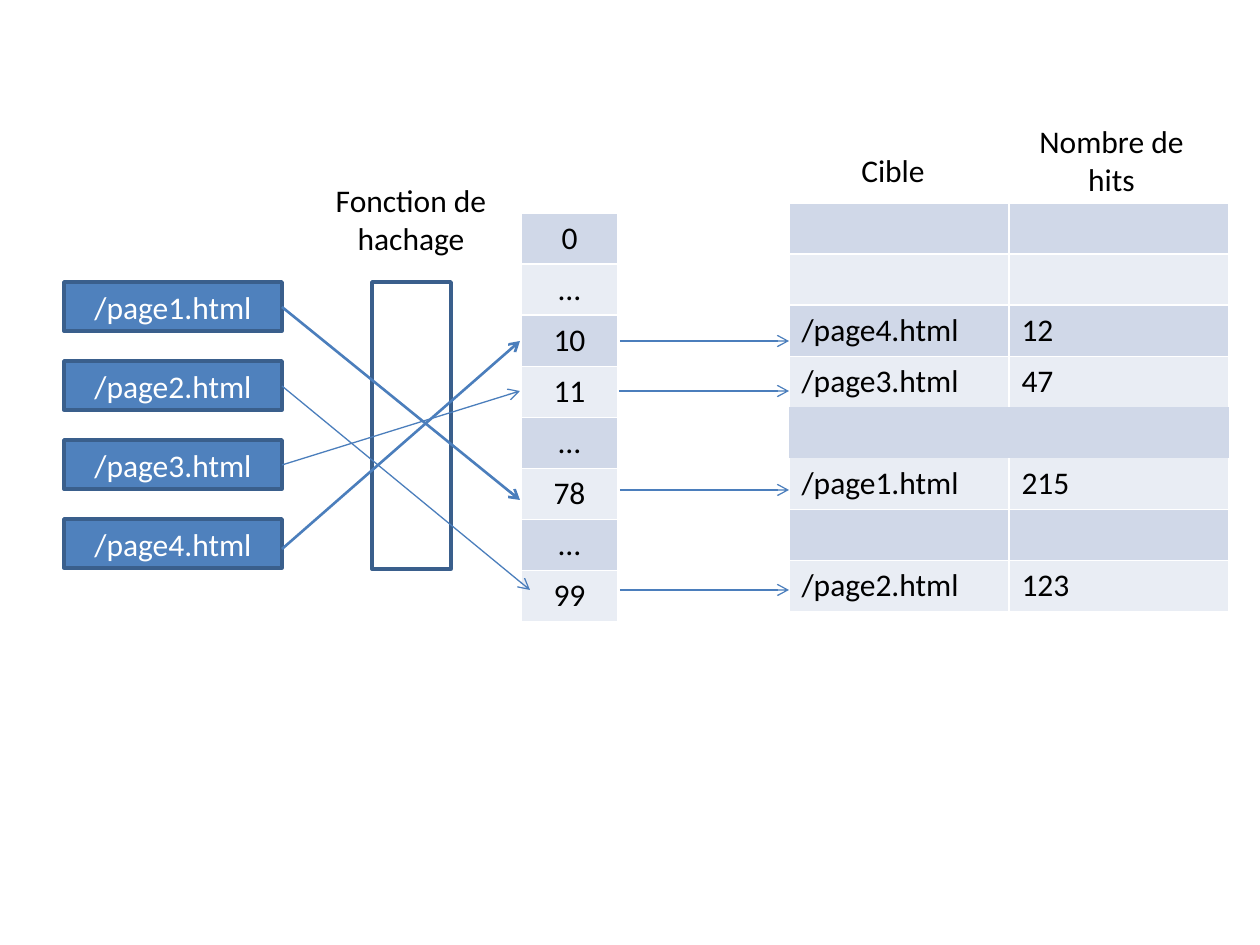
from lxml.etree import SubElement
from pptx import Presentation
from pptx.dml.color import RGBColor
from pptx.enum.shapes import MSO_CONNECTOR as CONN, MSO_SHAPE as SHAPE
from pptx.enum.text import MSO_ANCHOR as ANCHOR, PP_ALIGN as ALIGN
from pptx.oxml import parse_xml
from pptx.oxml.ns import nsdecls, qn
from pptx.util import Pt

PX = 914400 / 126
WHITE = RGBColor(0xFF, 0xFF, 0xFF)
BLACK = RGBColor(0, 0, 0)
BLUE = RGBColor(0x4F, 0x81, 0xBD)
EDGE = RGBColor(0x3A, 0x5F, 0x8C)
ARROW = RGBColor(0x4B, 0x7E, 0xBC)
BANDS = RGBColor(0xD0, 0xD8, 0xE8), RGBColor(0xE9, 0xED, 0xF4)
ROW_H = 51


def px(*values):
    return [round(v * PX) for v in values]


def write(tf, text, color, align):
    tf.text = text
    p = tf.paragraphs[0]
    p.alignment = align
    for r in p.runs:
        r.font.name = "Calibri"
        r.font.size = Pt(18)
        r.font.color.rgb = color


prs = Presentation()
prs.slide_width, prs.slide_height = px(1260, 945)
s = prs.slides.add_slide(prs.slide_layouts[6])

for i in range(4):
    sp = s.shapes.add_shape(SHAPE.RECTANGLE, *px(64, 282 + i * 79, 218, 49))
    sp.shadow.inherit = False
    sp.fill.solid()
    sp.fill.fore_color.rgb = BLUE
    sp.line.color.rgb = EDGE
    sp.line.width = Pt(2)
    sp.text_frame.vertical_anchor = ANCHOR.MIDDLE
    write(sp.text_frame, f"/page{i + 1}.html", WHITE, ALIGN.CENTER)

sp = s.shapes.add_shape(SHAPE.RECTANGLE, *px(372, 282, 79, 287))
sp.shadow.inherit = False
sp.fill.solid()
sp.fill.fore_color.rgb = WHITE
sp.line.color.rgb = EDGE
sp.line.width = Pt(2)

arrows = [
    (619, 391, 789, 391, 0.75),
    (282, 307, 520, 500, 1.5),
    (282, 549, 520, 341, 1.5),
    (282, 465, 520, 391, 0.75),
    (282, 386, 530, 590, 0.75),
    (620, 590, 789, 590, 0.75),
    (620, 490, 789, 490, 0.75),
    (620, 341, 789, 341, 0.75),
]

slots = [[t] for t in ("0", "…", "10", "11", "…", "78", "…", "99")]
hits = [
    ("", ""), ("", ""), ("/page4.html", "12"), ("/page3.html", "47"),
    ("", ""), ("/page1.html", "215"), ("", ""), ("/page2.html", "123"),
]
tables = [
    (521, 213, 97, slots, ALIGN.CENTER, None),
    (789, 203, 220, hits, ALIGN.LEFT, 4),
]
for x, y, col_w, rows, align, bare in tables:
    n = len(rows[0])
    table = s.shapes.add_table(
        len(rows), n, *px(x, y, col_w * n, ROW_H * len(rows))).table
    table.first_row = False
    for col in table.columns:
        col.width = px(col_w)[0]
    for i, row in enumerate(rows):
        table.rows[i].height = px(ROW_H)[0]
        for j, text in enumerate(row):
            cell = table.cell(i, j)
            write(cell.text_frame, text, BLACK, align)
            tc_pr = cell._tc.get_or_add_tcPr()
            for side in "LRTB":
                ln = SubElement(tc_pr, qn(f"a:ln{side}"), w=str(Pt(1)))
                hidden = bare is not None and (
                    i == bare or (i + 1 == bare and side == "B")
                    or (i - 1 == bare and side == "T"))
                if hidden:
                    SubElement(ln, qn("a:noFill"))
                else:
                    fill = SubElement(ln, qn("a:solidFill"))
                    SubElement(fill, qn("a:srgbClr"), val=str(WHITE))
            cell.fill.solid()
            cell.fill.fore_color.rgb = BANDS[i % 2]

for x1, y1, x2, y2, width in arrows:
    line = s.shapes.add_connector(CONN.STRAIGHT, *px(x1, y1, x2, y2))
    line.line.color.rgb = ARROW
    line.line.width = Pt(width)
    line.line._get_or_add_ln().append(
        parse_xml(f'<a:tailEnd {nsdecls("a")} type="arrow"/>'))
    SubElement(line._element.spPr, qn("a:effectLst"))

labels = [
    ("Fonction de hachage", 302, 175, 218, 89),
    ("Cible", 789, 145, 208, 50),
    ("Nombre de hits", 1027, 116, 169, 89),
]
for text, *box in labels:
    tf = s.shapes.add_textbox(*px(*box)).text_frame
    tf.word_wrap = True
    write(tf, text, BLACK, ALIGN.CENTER)

prs.save("out.pptx")
